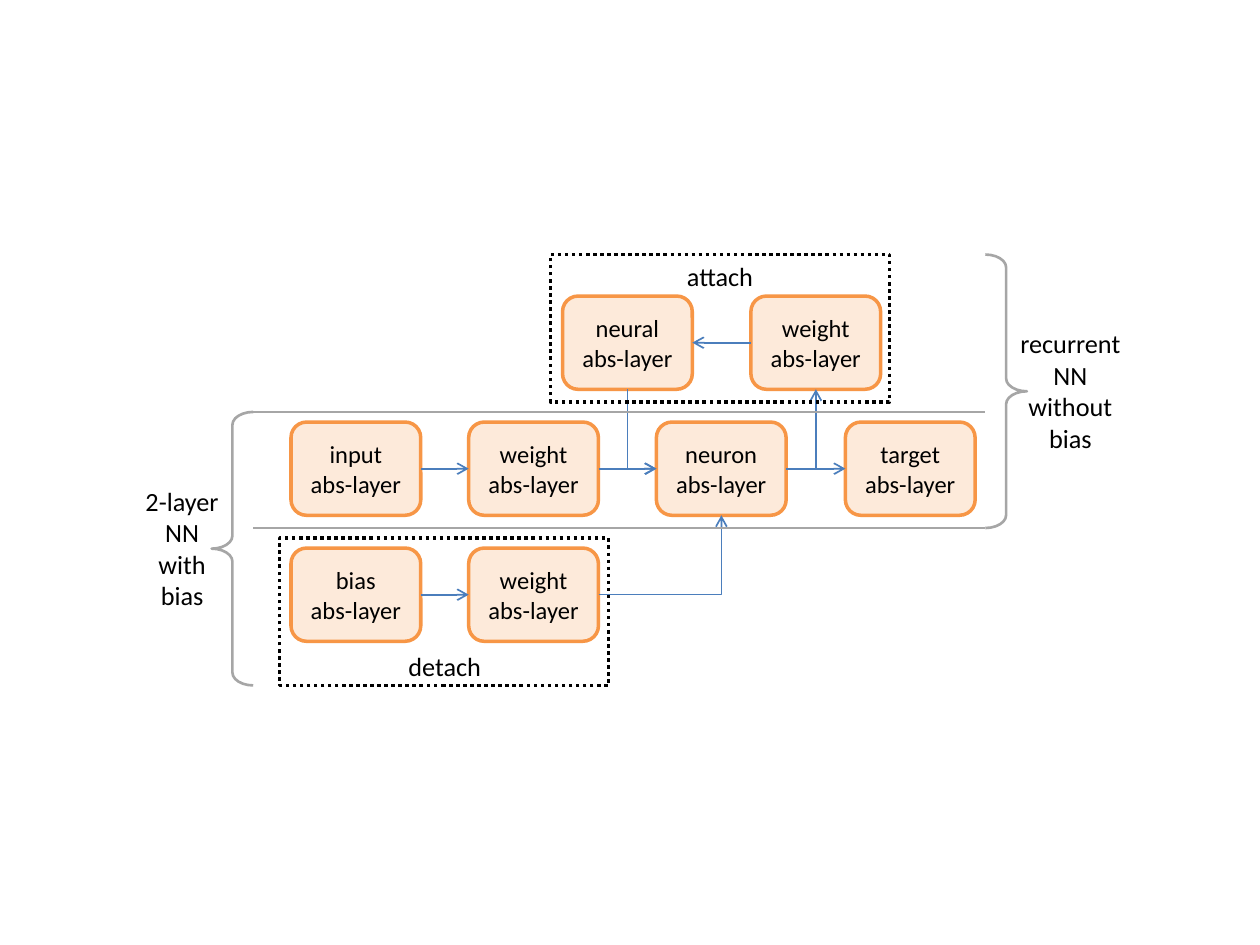
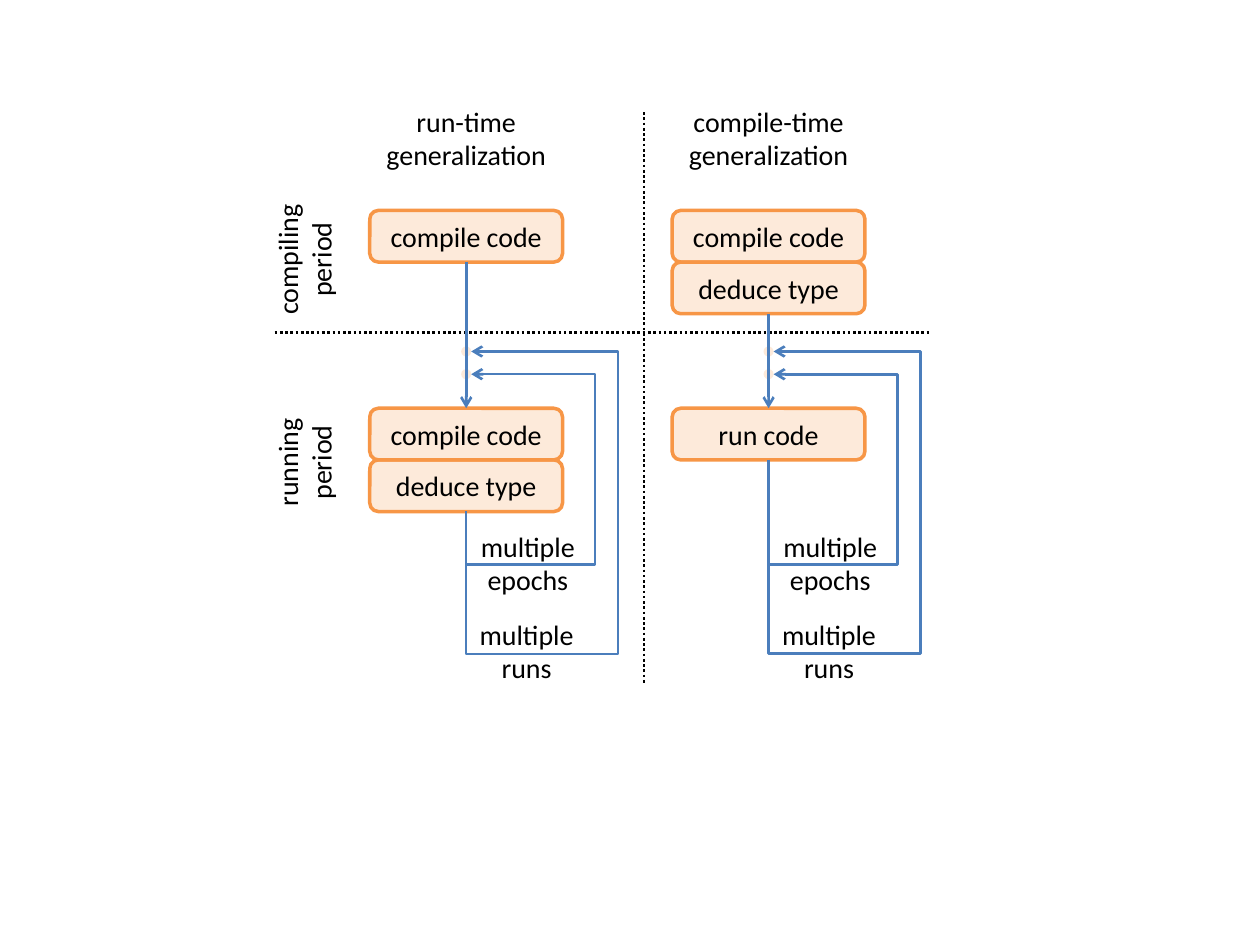
from lxml.etree import SubElement
from pptx import Presentation
from pptx.dml.color import RGBColor
from pptx.enum.dml import MSO_LINE as Dash
from pptx.enum.shapes import MSO_CONNECTOR as Link, MSO_SHAPE as Preset
from pptx.enum.text import MSO_ANCHOR as Anchor, MSO_AUTO_SIZE as Fit, PP_ALIGN as Align
from pptx.oxml.ns import qn
from pptx.util import Inches, Pt

FONT = "Calibri"
ORANGE, BLUE, GREY, BLACK = "F79646", "4B7EBC", "A6A6A6", "000000"
TINT = 20

LAYER_COLUMNS = [2.31, 3.72, 5.21, 6.71]
LAYER_TOP, LAYER_STEP = 2.35, 1.0
LAYER_W, LAYER_H = 1.03, 0.74
LAYERS = {
    "input": ("input", 0, 1),
    "weight": ("weight", 1, 1),
    "neuron": ("neuron", 2, 1),
    "target": ("target", 3, 1),
    "bias": ("bias", 0, 2),
    "bias weight": ("weight", 1, 2),
    "loop weight": ("weight", 2.5, 0),
    "neural": ("neural", 1.5, 0),
}
FLOWS = [
    ("input", 3, "weight", 1),
    ("weight", 3, "neuron", 1),
    ("neuron", 3, "target", 1),
    ("bias", 3, "bias weight", 1),
    ("loop weight", 1, "neural", 3),
]
BENDS = [
    ("bias weight", 3, "neuron", 2, 0),
    ("neuron", 3, "loop weight", 2, 0),
    ("neural", 2, "neuron", 1, 270),
]
FRAMES = [(2.22, 4.27, 2.61, 1.17), (4.37, 2.02, 2.69, 1.17)]
NETWORK_LABELS = [
    ("detach", 3.14, 5.11, 0.78, 0.32),
    ("attach", 5.35, 2.02, 0.73, 0.35),
    ("2-layer\nNN\nwith\nbias", 1.05, 3.8, 0.79, 1.11),
    ("recurrent\nNN\nwithout\nbias", 7.99, 2.55, 1.01, 1.11),
]
BRACES = [(1.68, 3.27, 0), (7.82, 2.02, 180)]
BRACE_W, BRACE_H = 0.33, 2.17
RULES_Y, RULES_X = (3.27, 4.19), (2.01, 7.82)

STEP_W, STEP_H = 1.53, 0.41
COMPILING_TOP, RUNNING_TOP = 1.67, 3.24
APPROACHES = [
    ("run-time\ngeneralization", 3.7, ["compile code"], ["compile code", "deduce type"]),
    ("compile-time\ngeneralization", 6.1, ["compile code", "deduce type"], ["run code"]),
]
PERIODS = [("compiling\nperiod", 1.87, 1.74, 1.09), ("running\nperiod", 1.96, 3.35, 0.91)]
LOOPS = [
    ("multiple\nepochs", 2.97, 4.48, 1.02, 4.15, 0.01),
    ("multiple\nruns", 2.79, 5.19, 1.2, 4.85, 0),
]
DIVIDERS = [((5.11, 0.89), (5.11, 5.42)), ((2.18, 2.64), (7.39, 2.64))]
DOT = 0.08
TWO_LINES_H = 0.64


def color(code):
    return RGBColor.from_string(code)


def inches(*lengths):
    return [Inches(length) for length in lengths]


def write(frame, text, size, wrap=True, fit=Fit.NONE, anchor=Anchor.MIDDLE):
    frame.word_wrap, frame.auto_size, frame.vertical_anchor = wrap, fit, anchor
    paragraph = frame.paragraphs[0]
    paragraph.text = text
    paragraph.alignment = Align.CENTER
    for run in paragraph.runs:
        run.font.name, run.font.size = FONT, Pt(size)
        run.font.color.rgb = color(BLACK)


def label(slide, text, x, y, w, h, size, turn=0):
    box = slide.shapes.add_textbox(*inches(x, y, w, h))
    box.rotation = turn
    write(box.text_frame, text, size, wrap=False, fit=Fit.SHAPE_TO_FIT_TEXT, anchor=Anchor.TOP)


def stroke(line, code, width, dash=None):
    line.color.rgb, line.width = color(code), Pt(width)
    if dash:
        line.dash_style = dash


def outline(slide, preset, x, y, w, h, tinted=False):
    shape = slide.shapes.add_shape(preset, *inches(x, y, w, h))
    shape.shadow.inherit = False
    if tinted:
        shape.fill.solid()
        shape.fill.fore_color.rgb = color(ORANGE)
        tint = shape.element.spPr.find(qn("a:solidFill"))[0]
        SubElement(tint, qn("a:alpha"), val=str(TINT * 1000))
    else:
        shape.fill.background()
    return shape


def block(slide, text, x, y, w, h, size):
    shape = outline(slide, Preset.ROUNDED_RECTANGLE, x, y, w, h, tinted=True)
    stroke(shape.line, ORANGE, 2)
    write(shape.text_frame, text, size)
    return shape


def connect(slide, start, end, code=BLUE, width=1, dash=None, arrow=False, kind=Link.STRAIGHT):
    link = slide.shapes.add_connector(kind, *inches(*start, *end))
    stroke(link.line, code, width, dash)
    if arrow:
        SubElement(link.line._get_or_add_ln(), qn("a:tailEnd"), type="arrow")
    SubElement(link.element.spPr, qn("a:effectLst"))
    return link


def join(slide, source, source_side, target, target_side, width=1):
    link = connect(slide, (0, 0), (1, 1), width=width, arrow=True)
    link.begin_connect(source, source_side)
    link.end_connect(target, target_side)


def bend(slide, start, end, turn=0, width=1, shares=()):
    center = [(a + b) / 2 for a, b in zip(start, end)]

    def unturned(point):
        dx, dy = point[0] - center[0], point[1] - center[1]
        dx, dy = {0: (dx, dy), 90: (dy, -dx), 270: (-dy, dx)}[turn]
        return center[0] + dx, center[1] + dy

    link = connect(slide, unturned(start), unturned(end), width=width, arrow=True, kind=Link.ELBOW)
    properties = link.element.spPr
    if turn:
        properties.find(qn("a:xfrm")).set("rot", str(turn * 60000))
    geometry = properties.find(qn("a:prstGeom"))
    geometry.set("prst", f"bentConnector{len(shares) + 2}")
    guides = geometry.find(qn("a:avLst"))
    for number, share in enumerate(shares, 1):
        SubElement(guides, qn("a:gd"), name=f"adj{number}", fmla=f"val {round(share * 100000)}")


def layer_spot(column, row):
    left = int(column)
    x = LAYER_COLUMNS[left]
    if column > left:
        x = (x + LAYER_COLUMNS[left + 1]) / 2
    return x, LAYER_TOP + row * LAYER_STEP


def side_of(layer, side):
    x, y = layer_spot(*LAYERS[layer][1:])
    across, down = [(0.5, 0), (0, 0.5), (0.5, 1), (1, 0.5)][side]
    return x + across * LAYER_W, y + down * LAYER_H


def network_slide(slide):
    layers = {
        key: block(slide, f"{name}\nabs-layer", *layer_spot(column, row), LAYER_W, LAYER_H, 14)
        for key, (name, column, row) in LAYERS.items()
    }
    for source, source_side, target, target_side in FLOWS:
        join(slide, layers[source], source_side, layers[target], target_side)
    for source, source_side, target, target_side, turn in BENDS:
        bend(slide, side_of(source, source_side), side_of(target, target_side), turn)
    for frame in FRAMES:
        stroke(outline(slide, Preset.RECTANGLE, *frame).line, BLACK, 2, Dash.ROUND_DOT)
    for y in RULES_Y:
        connect(slide, (RULES_X[0], y), (RULES_X[1], y), code=GREY, width=1.5)
    for x, y, turn in BRACES:
        brace = outline(slide, Preset.LEFT_BRACE, x, y, BRACE_W, BRACE_H)
        brace.adjustments[0] = 0.31
        brace.rotation = turn
        stroke(brace.line, GREY, 1.5)
    for text, *spot in NETWORK_LABELS:
        label(slide, text, *spot, size=15)


def stack(slide, steps, center, top):
    return [
        block(slide, step, center - STEP_W / 2, top + i * STEP_H, STEP_W, STEP_H, 16)
        for i, step in enumerate(steps)
    ]


def generalization_slide(slide):
    for start, end in DIVIDERS:
        connect(slide, start, end, code=BLACK, width=1.5, dash=Dash.ROUND_DOT)
    for text, x, y, w in PERIODS:
        label(slide, text, x, y, w, TWO_LINES_H, 16, turn=270)
    for heading, center, compiling, running in APPROACHES:
        label(slide, heading, center - 0.74, 0.78, 1.48, TWO_LINES_H, 16)
        last_compiled = stack(slide, compiling, center, COMPILING_TOP)[-1]
        first_run = stack(slide, running, center, RUNNING_TOP)[0]
        running_end = RUNNING_TOP + len(running) * STEP_H
        for text, back, bottom, reach, label_top, shift in LOOPS:
            dot = outline(slide, Preset.OVAL, center - DOT / 2, back - DOT / 2, DOT, DOT, tinted=True)
            dot.line.fill.background()
            shares = (bottom - running_end) / (back - running_end), reach / (DOT / 2)
            bend(slide, (center, running_end), (center + DOT / 2, back), 90, 1.5, shares)
            label(slide, text, center + shift, label_top, 0.96, TWO_LINES_H, 16)
        join(slide, last_compiled, 2, first_run, 0, width=1.5)


def main():
    deck = Presentation()
    deck.slide_width, deck.slide_height = inches(10, 7.5)
    for fill_slide in (network_slide, generalization_slide):
        fill_slide(deck.slides.add_slide(deck.slide_layouts[6]))
    deck.save("out.pptx")


if __name__ == "__main__":
    main()
